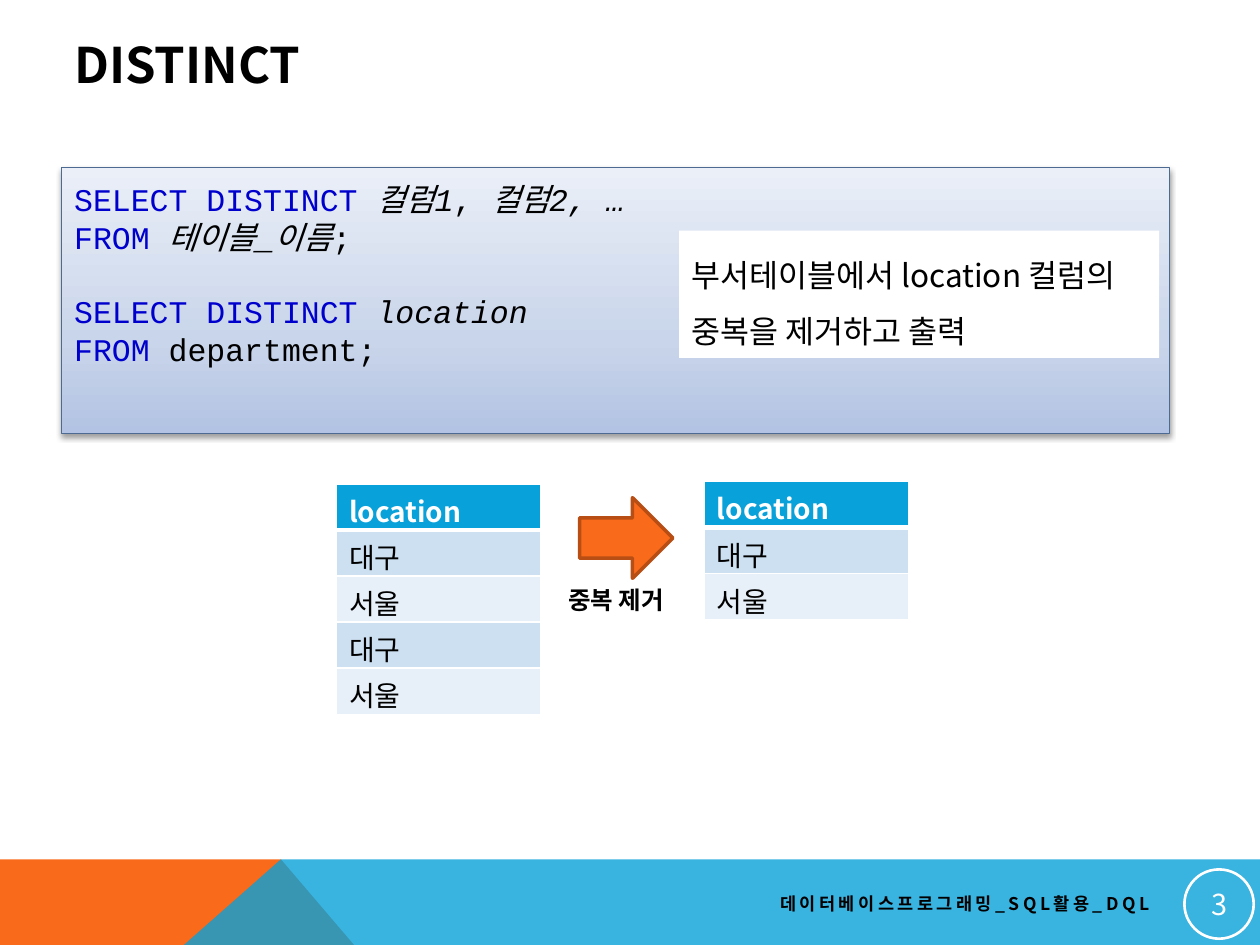
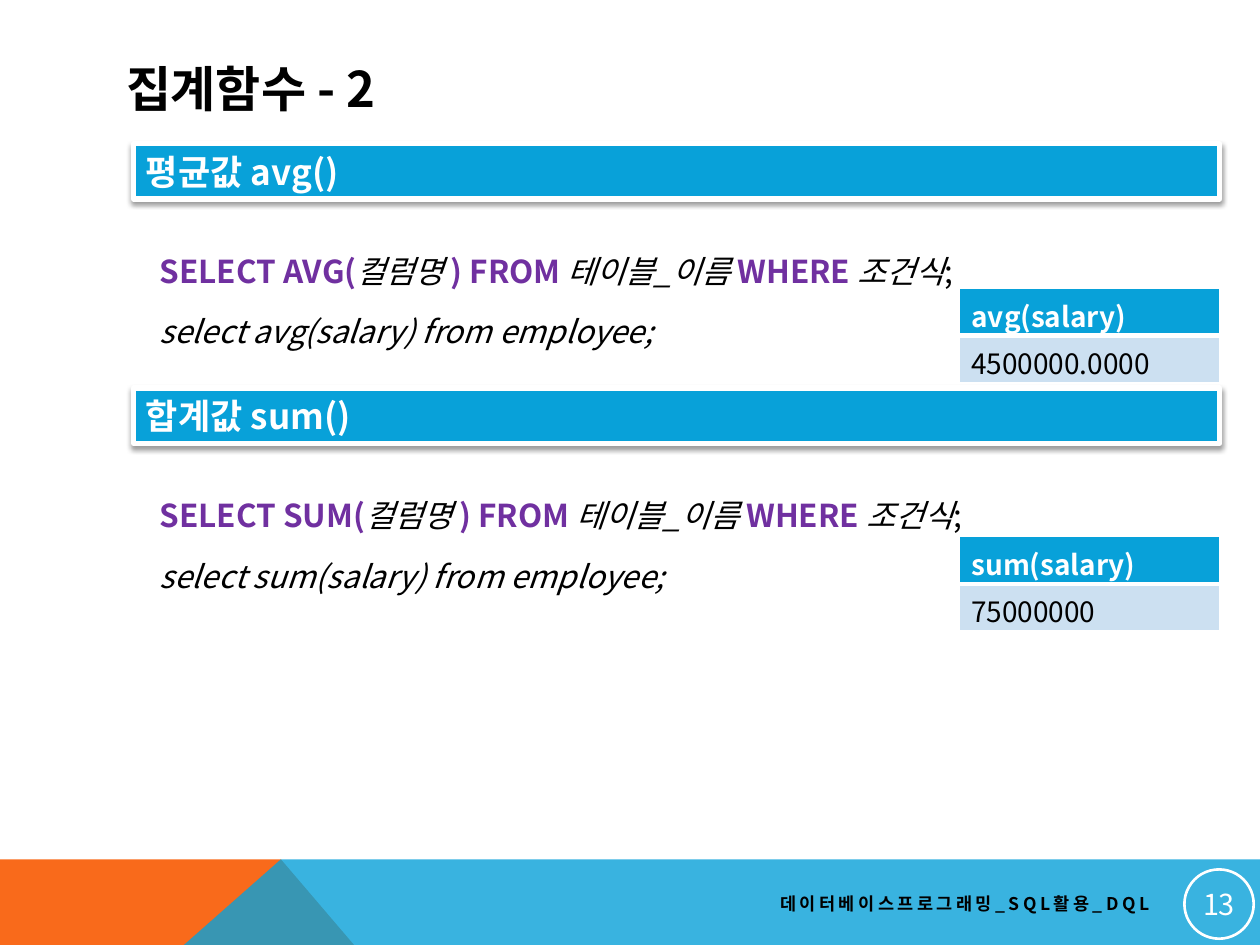
from copy import deepcopy
from dataclasses import dataclass

from lxml import etree
from pptx import Presentation
from pptx.dml.color import RGBColor
from pptx.enum import shapes, text
from pptx.oxml.ns import qn
from pptx.util import Inches, Pt

COLORS = {
    "white": "FFFFFF", "black": "000000", "orange": "F96A1B",
    "dark_orange": "B84E14", "blue": "08A1D9", "row_dark": "CCE0F1",
    "row_light": "E7F0F8", "keyword": "0000CD", "purple": "7030A0",
    "code_line": "4D6B92", "grad_low": "B2C3E3", "grad_mid": "C9D5EA",
    "grad_high": "EAEFF8",
}
SANS, MONO = "Noto Sans CJK KR", "Courier New"
FOOTER = "데이터베이스프로그래밍_SQL활용_DQL"
RECT = shapes.MSO_SHAPE.RECTANGLE
MIDDLE = text.MSO_ANCHOR.MIDDLE
ALIGN = text.PP_ALIGN


@dataclass
class Box:
    left: float
    top: float
    width: float
    height: float

    def emu(self) -> tuple:
        return tuple(Inches(v) for v in (self.left, self.top, self.width, self.height))


@dataclass
class Run:
    text: str
    color: str = "black"
    bold: bool = False
    italic: bool = False


@dataclass
class Style:
    size: float = 18
    font: str = SANS
    align: int = ALIGN.LEFT
    line_spacing: float = 1.0
    spacing: int = 0  # letter spacing in points


@dataclass
class Aggregate:
    heading: str
    function: str
    result: str
    top: float
    table_top: float


def rgb(name: str) -> RGBColor:
    return RGBColor.from_string(COLORS[name])


def sub(parent, tag: str, **attrs):
    return etree.SubElement(parent, qn(tag), {k: str(v) for k, v in attrs.items()})


# Text
def write(tf, lines: list, style: Style, anchor=text.MSO_ANCHOR.TOP) -> None:
    """Fill a text frame; each line is a list of runs."""
    tf.word_wrap = True
    tf.vertical_anchor = anchor
    for i, runs in enumerate(lines):
        p = tf.add_paragraph() if i else tf.paragraphs[0]
        p.alignment = style.align
        p.line_spacing = style.line_spacing
        p.font.name, p.font.size = style.font, Pt(style.size)
        props = p.font._element
        sub(props, "a:ea", typeface=SANS)
        if style.spacing:
            props.set("spc", str(style.spacing * 100))
        for run in runs:
            r = p.add_run()
            r.text = run.text
            r.font.color.rgb = rgb(run.color)
            r.font.bold, r.font.italic = run.bold, run.italic


def add_text(s, box: Box, lines: list, style: Style, anchor=text.MSO_ANCHOR.TOP):
    sp = s.shapes.add_textbox(*box.emu())
    write(sp.text_frame, lines, style, anchor)
    return sp


# Shapes
def paint(sp, fill: str = "", line: str = "", weight: float = 1) -> None:
    sp.shadow.inherit = False
    if fill:
        sp.fill.solid()
        sp.fill.fore_color.rgb = rgb(fill)
    else:
        sp.fill.background()
    if line:
        sp.line.color.rgb = rgb(line)
        sp.line.width = Pt(weight)
    else:
        sp.line.fill.background()


def add_shape(s, kind, box: Box, fill: str = "", line: str = "", weight: float = 1):
    sp = s.shapes.add_shape(kind, *box.emu())
    paint(sp, fill, line, weight)
    return sp


def add_shadow(sp) -> None:
    effects = sp._element.spPr.find(qn("a:effectLst"))
    shadow = sub(effects, "a:outerShdw", blurRad=Pt(3.1), dist=Pt(1.6),
                 dir=5400000, rotWithShape=0)
    sub(sub(shadow, "a:srgbClr", val=COLORS["black"]), "a:alpha", val=38000)


def add_band(s, points: list, fill: str):
    pts = [(Inches(x), Inches(y)) for x, y in points]
    builder = s.shapes.build_freeform(*pts[0])
    builder.add_line_segments(pts[1:], close=True)
    sp = builder.convert_to_shape()
    paint(sp, fill)
    return sp


# Tables
def add_table(s, box: Box, rows: list) -> None:
    tbl = s.shapes.add_table(len(rows), 1, *box.emu()).table
    for i, value in enumerate(rows):
        tbl.rows[i].height = Inches(box.height / len(rows))
        cell = tbl.cell(i, 0)
        cell.margin_bottom = 0
        head = i == 0
        run = Run(value, "white" if head else "black", bold=head)
        write(cell.text_frame, [[run]], Style(16))
        weights = {"L": 1, "R": 1, "T": 3 if i == 1 else 1, "B": 3 if head else 1}
        tc_pr = cell._tc.get_or_add_tcPr()
        for side, weight in weights.items():
            ln = sub(tc_pr, f"a:ln{side}", w=Pt(weight))
            sub(sub(ln, "a:solidFill"), "a:srgbClr", val=COLORS["white"])
        cell.fill.solid()
        fill = "blue" if head else "row_dark" if i % 2 else "row_light"
        cell.fill.fore_color.rgb = rgb(fill)


# Shared frame: bands, page number, footer and title
def add_page(prs, title: str, title_box: Box, number: int):
    s = prs.slides.add_slide(prs.slide_layouts[5])
    add_band(s, [(0, 6.82), (2.23, 6.82), (2.81, 7.5), (0, 7.5)], "orange")
    band = add_band(s, [(1.46, 7.5), (2.23, 6.82), (10, 6.82), (10, 7.5)], "blue")
    color = band._element.spPr.find(qn("a:solidFill"))[0]
    sub(color, "a:alpha", val=80000)

    badge = add_shape(s, shapes.MSO_SHAPE.OVAL, Box(9.4, 6.9, 0.55, 0.55),
                      line="white", weight=1.5)
    tf = badge.text_frame
    tf.margin_left = tf.margin_right = tf.margin_top = tf.margin_bottom = Inches(0.01)
    write(tf, [[Run(str(number), "white")]], Style(16.5, align=ALIGN.CENTER), MIDDLE)
    add_text(s, Box(3.58, 7.02, 5.64, 0.3), [[Run(FOOTER, bold=True)]],
             Style(10, align=ALIGN.RIGHT, spacing=2), MIDDLE)

    sp = s.shapes.title
    sp.left, sp.top, sp.width, sp.height = title_box.emu()
    write(sp.text_frame, [[Run(title, bold=True)]], Style(28), MIDDLE)
    return s


def build_distinct(prs) -> None:
    s = add_page(prs, "DISTINCT", Box(0.49, 0.21, 8.22, 0.6), 3)

    # Code panel
    panel = add_shape(s, RECT, Box(0.49, 1.33, 8.79, 2.11), line="code_line", weight=0.75)
    add_shadow(panel)
    panel.fill.gradient()
    panel.fill.gradient_angle = 90
    last = panel.fill.gradient_stops[-1]._gs
    last.addnext(deepcopy(last))
    stops = [(0, "grad_low"), (0.35, "grad_mid"), (1, "grad_high")]
    for stop, (position, color) in zip(panel.fill.gradient_stops, stops):
        stop.position = position
        stop.color.rgb = rgb(color)

    select, source = Run("SELECT DISTINCT ", "keyword"), Run("FROM ", "keyword")
    code = add_text(s, Box(0.49, 1.38, 5, 1.62), [
        [select, Run("컬럼1", italic=True), Run(", "), Run("컬럼2, …", italic=True)],
        [source, Run("테이블_이름", italic=True), Run(";")],
        [select, Run("location", italic=True)],
        [source, Run("department;")],
    ], Style(font=MONO))
    code.text_frame.paragraphs[2].space_before = Pt(21)

    note = add_shape(s, RECT, Box(5.39, 1.83, 3.81, 1.01), "white")
    write(note.text_frame, [[Run("부서테이블에서 location 컬럼의")],
                            [Run("중복을 제거하고 출력")]], Style(line_spacing=1.5))

    # Rows before and after removing duplicates
    cities = ["대구", "서울"]
    add_table(s, Box(2.67, 3.84, 1.62, 1.83), ["location"] + cities * 2)
    add_table(s, Box(5.59, 3.82, 1.62, 1.1), ["location"] + cities)
    add_text(s, Box(4.41, 4.59, 1.12, 0.34), [[Run("중복 제거", bold=True)]], Style(14))
    add_shape(s, shapes.MSO_SHAPE.RIGHT_ARROW, Box(4.6, 3.95, 0.74, 0.64),
              "orange", "dark_orange", 2)


def add_aggregate(s, item: Aggregate) -> None:
    banner = add_shape(s, RECT, Box(1.06, item.top, 8.62, 0.44), "blue", "white", 3)
    add_shadow(banner)
    write(banner.text_frame, [[Run(item.heading, "white", bold=True)]], Style(20), MIDDLE)
    name = item.function
    syntax = [
        Run(f"SELECT {name.upper()}(", "purple", bold=True), Run("컬럼명 ", italic=True),
        Run(") FROM ", "purple", bold=True), Run("테이블_이름 ", italic=True),
        Run("WHERE ", "purple", bold=True), Run("조건식", italic=True), Run(";"),
    ]
    example = [Run(f"select {name}(salary) from employee;", italic=True)]
    add_text(s, Box(1.17, item.top + 0.63, 8.1, 1.07), [syntax, example],
             Style(align=ALIGN.JUSTIFY, line_spacing=1.6))
    add_table(s, Box(7.61, item.table_top, 2.07, 0.75), [f"{name}(salary)", item.result])


def build_aggregates(prs) -> None:
    s = add_page(prs, "집계함수 - 2", Box(0.9, 0.4, 8.22, 0.6), 13)
    for item in (Aggregate("평균값 avg()", "avg", "4500000.0000", 1.14, 2.29),
                 Aggregate("합계값 sum()", "sum", "75000000", 3.08, 4.26)):
        add_aggregate(s, item)


def main() -> None:
    prs = Presentation()
    prs.slide_width, prs.slide_height = Inches(10), Inches(7.5)
    build_distinct(prs)
    build_aggregates(prs)
    prs.save("out.pptx")


if __name__ == "__main__":
    main()
